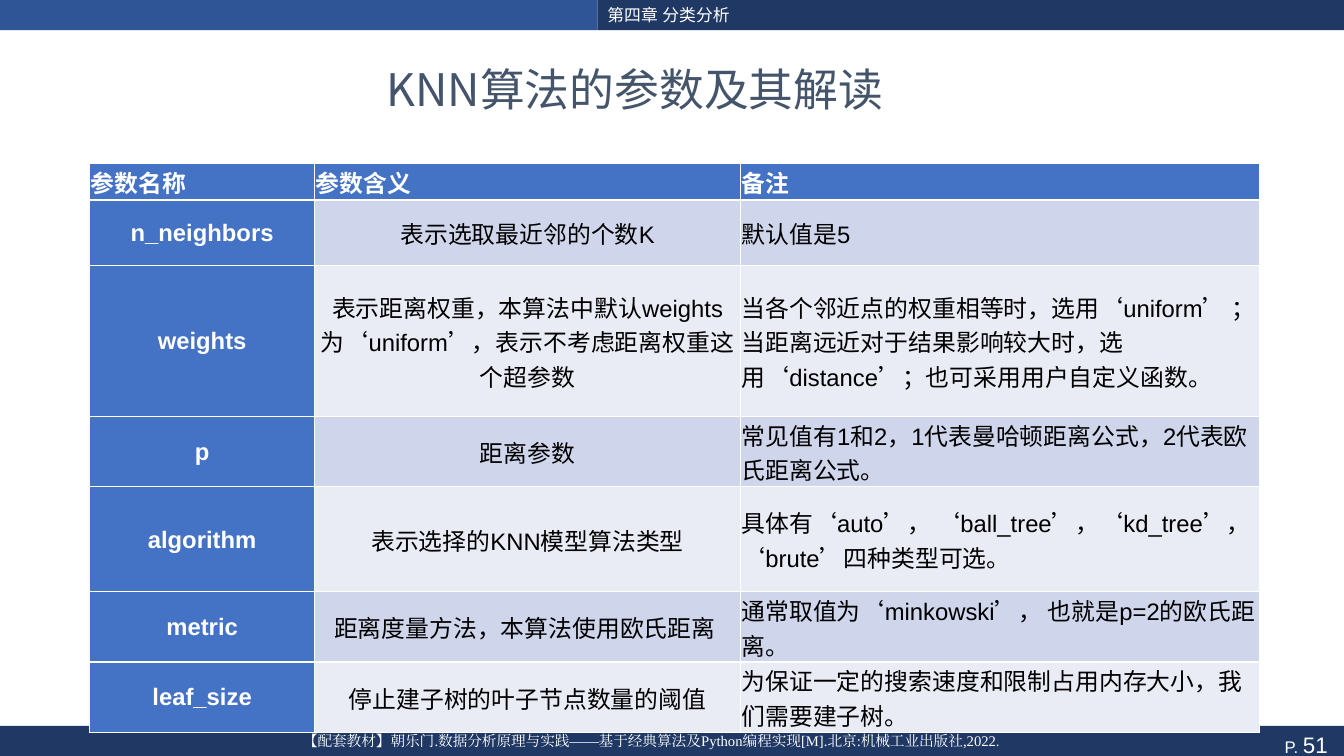
from pptx import Presentation
from pptx.dml.color import RGBColor
from pptx.enum.shapes import MSO_SHAPE as Shape
from pptx.enum.text import MSO_ANCHOR as Anchor, PP_ALIGN as Align
from pptx.oxml.ns import qn
from pptx.util import Cm, Pt
from lxml.etree import SubElement

SANS = "Noto Sans CJK SC"
WHITE, BLACK, NAVY, BLUE = "FFFFFF", "000000", "203864", "4472C4"
BANDS = ("E9EBF5", "CFD5EA")
COLS = (5.67, 10.73, 13.08)
ROWS = (0.92, 1.65, 3.81, 1.77, 2.65, 1.77, 1.77)
CELLS = (
    ("参数名称", "参数含义", "备注"),
    ("n_neighbors", "表示选取最近邻的个数K", "默认值是5"),
    ("weights",
     "表示距离权重，本算法中默认weights为‘uniform’，表示不考虑距离权重这个超参数",
     "当各个邻近点的权重相等时，选用‘uniform’\u00a0；当距离远近对于结果影响较大时，"
     "选用‘distance’；也可采用用户自定义函数。"),
    ("p", "距离参数", "常见值有1和2，1代表曼哈顿距离公式，2代表欧氏距离公式。"),
    ("algorithm", "表示选择的KNN模型算法类型",
     "具体有‘auto’， ‘ball_tree’，‘kd_tree’，‘brute’四种类型可选。"),
    ("metric", "距离度量方法，本算法使用欧氏距离\u00a0",
     "通常取值为‘minkowski’， 也就是p=2的欧氏距离。"),
    ("leaf_size", "停止建子树的叶子节点数量的阈值",
     "为保证一定的搜索速度和限制占用内存大小，我们需要建子树。"),
)


def paint(fill, color):
    fill.solid()
    fill.fore_color.rgb = RGBColor.from_string(color)


def style(run, size, color, latin="Arial", asian=None, bold=False):
    """Format a run, with its own font for Chinese characters."""
    font = run.font
    font.size, font.bold, font.name = Pt(size), bold, latin
    paint(font.fill, color)
    SubElement(font._element, qn("a:ea"), typeface=asian or latin)


def write(frame, text, align, *look, **more):
    frame.word_wrap = True
    para = frame.paragraphs[0]
    para.text = text
    para.alignment = align
    for run in para.runs:
        style(run, *look, **more)


def add_band(slide, box, color):
    band = slide.shapes.add_shape(Shape.RECTANGLE, *map(Cm, box))
    band.shadow.inherit = False
    band.line.fill.background()
    paint(band.fill, color)
    return band.text_frame


def add_label(slide, box, anchor, *words):
    frame = slide.shapes.add_textbox(*map(Cm, box)).text_frame
    frame.vertical_anchor = anchor
    write(frame, *words)


def add_edges(cell, row):
    """White borders, thicker under the heading row."""
    for side in "LRTB":
        thick = (row, side) in ((0, "B"), (1, "T"))
        line = SubElement(cell._tc.get_or_add_tcPr(), qn("a:ln" + side),
                          w=str(Pt(1.5 if thick else 1)))
        fill = SubElement(line, qn("a:solidFill"))
        SubElement(fill, qn("a:srgbClr"), val=WHITE)


def fill_cell(cell, row, col, text):
    head = row == 0 or col == 0
    cell.margin_left = cell.margin_right = cell.margin_top = Cm(0.03)
    cell.margin_bottom = 0
    cell.vertical_anchor = Anchor.MIDDLE
    add_edges(cell, row)
    paint(cell.fill, BLUE if head else BANDS[row % 2])
    align = Align.LEFT if row == 0 or col == 2 else Align.CENTER
    write(cell.text_frame, text, align, 17, WHITE if head else BLACK,
          asian=SANS, bold=head)


def add_grid(slide):
    grid = slide.shapes.add_table(
        len(ROWS), len(COLS), Cm(2.26), Cm(4.11),
        Cm(sum(COLS)), Cm(sum(ROWS))).table
    for col, width in zip(grid.columns, COLS):
        col.width = Cm(width)
    for row, (height, texts) in enumerate(zip(ROWS, CELLS)):
        grid.rows[row].height = Cm(height)
        for col, text in enumerate(texts):
            fill_cell(grid.cell(row, col), row, col, text)


def main():
    deck = Presentation()
    deck.slide_width, deck.slide_height = Cm(33.87), Cm(19.05)
    slide = deck.slides.add_slide(deck.slide_layouts[6])

    add_band(slide, (0, 0, 15.06, 0.76), "2F5597")
    foot = add_band(slide, (0, 18.29, 33.87, 0.94), NAVY)
    write(foot, "P. ", Align.RIGHT, 12, WHITE)
    page = foot.paragraphs[0].add_run()
    page.text = "51 "
    style(page, 16, WHITE)
    head = add_band(slide, (15.06, 0, 18.81, 0.76), NAVY)
    write(head, "第四章 分类分析", Align.LEFT, 12, WHITE)

    add_label(slide, (1.52, 18.31, 29.79, 0.89), Anchor.TOP,
              "【配套教材】朝乐门.数据分析原理与实践——基于经典算法及Python编程实现"
              "[M].北京:机械工业出版社,2022.",
              Align.CENTER, 10.5, WHITE, "Times New Roman")
    add_label(slide, (1.12, 1.09, 30.02, 2.29), Anchor.MIDDLE,
              "KNN算法的参数及其解读 ", Align.CENTER, 32, "44546A", SANS)
    add_grid(slide)
    deck.save("out.pptx")


if __name__ == "__main__":
    main()
